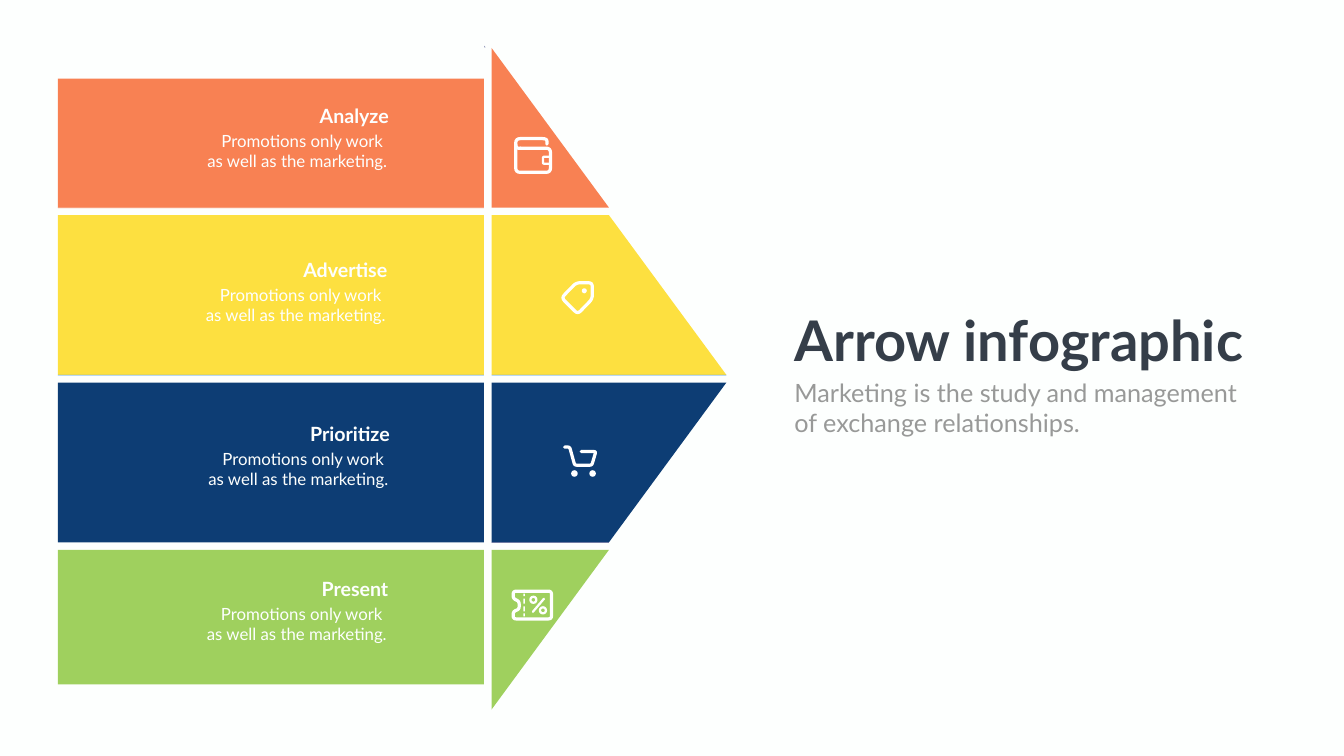
from dataclasses import dataclass

from lxml import etree
from pptx import Presentation
from pptx.dml.color import RGBColor
from pptx.enum.shapes import MSO_CONNECTOR, MSO_SHAPE
from pptx.enum.text import MSO_AUTO_SIZE, PP_ALIGN
from pptx.oxml.ns import qn
from pptx.util import Inches, Pt

RECT, OVAL = MSO_SHAPE.RECTANGLE, MSO_SHAPE.OVAL
STRAIGHT = MSO_CONNECTOR.STRAIGHT
LEFT, RIGHT = PP_ALIGN.LEFT, PP_ALIGN.RIGHT
FIT = MSO_AUTO_SIZE.SHAPE_TO_FIT_TEXT


@dataclass(frozen=True)
class Theme:
    font: str = "Lato"
    paper: str = "FDFFFE"
    icon: str = "FFFFFF"
    orange: str = "F88153"
    yellow: str = "FDE040"
    navy: str = "0D3D74"
    green: str = "9FD05E"
    blue: str = "4193E3"
    violet: str = "535B8F"
    dark: str = "353E49"
    grey: str = "989998"
    title: int = 80
    subtitle: int = 36
    label: int = 28
    body: int = 24
    stroke: float = 4.6
    thin: float = 3.2


T = Theme()
WIDTH, HEIGHT = 26.66, 15
BAR_X, BAR_W = 1.15, 8.45
HEAD_X, HEAD_W = 9.75, 4.66
ROW_Y, ROW_H, PITCH = 0.95, 3.17, 3.32
BAR_TOP, BAR_BOTTOM = 1.56, 13.58
RULE_H = 0.01
HEAD_SHARES = [0, 0.5, 1, 0.5, 0]
DETAIL = ["Promotions only work ", "as well as the marketing."]


# Drawing helpers, all in inches
def paint(sp, color):
    sp.shadow.inherit = False
    sp.fill.solid()
    sp.fill.fore_color.rgb = RGBColor.from_string(color)
    sp.line.fill.background()


def outline(sp, width):
    sp.line.color.rgb = RGBColor.from_string(T.icon)
    sp.line.width = Pt(width)
    ln = sp._element.spPr.find(qn("a:ln"))
    ln.set("cap", "rnd")
    etree.SubElement(ln, qn("a:round"))


def block(s, shape, box, color):
    sp = s.shapes.add_shape(shape, *map(Inches, box))
    paint(sp, color)
    return sp


def freeform(s, points, closed=True):
    start, *rest = [(Inches(x), Inches(y)) for x, y in points]
    builder = s.shapes.build_freeform(*start)
    builder.add_line_segments(rest, close=closed)
    sp = builder.convert_to_shape()
    sp.shadow.inherit = False
    return sp


def text(s, box, lines, size, color, align=LEFT, bold=False, wrap=True):
    tf = s.shapes.add_textbox(*map(Inches, box)).text_frame
    tf.word_wrap, tf.auto_size = wrap, FIT
    for i, line in enumerate(lines):
        p = tf.paragraphs[0] if i == 0 else tf.add_paragraph()
        p.alignment = align
        r = p.add_run()
        r.text = line
        for name, value in {"name": T.font, "size": Pt(size), "bold": bold}.items():
            setattr(r.font, name, value)
        r.font.color.rgb = RGBColor.from_string(color)


def rounded(points, radius, closed):
    """Replace each corner by a short quadratic curve."""
    result = []
    for i, (x, y) in enumerate(points):
        if not closed and i in (0, len(points) - 1):
            result.append((x, y))
            continue
        ends = []
        for nx, ny in (points[i - 1], points[(i + 1) % len(points)]):
            length = ((nx - x) ** 2 + (ny - y) ** 2) ** 0.5
            share = min(radius / length, 0.5)
            ends.append((x + (nx - x) * share, y + (ny - y) * share))
        (ax, ay), (bx, by) = ends
        for t in (0, 0.25, 0.5, 0.75, 1):
            a, c, b = (1 - t) ** 2, 2 * t * (1 - t), t * t
            result.append((a * ax + c * x + b * bx, a * ay + c * y + b * by))
    return result


# Icons: points in hundredths of an inch from the icon's corner
def stroke(s, at, points, radius, closed=False, width=T.stroke):
    placed = [(at[0] + x / 100, at[1] + y / 100) for x, y in points]
    sp = freeform(s, rounded(placed, radius / 100, closed), closed)
    sp.fill.background()
    outline(sp, width)


def icon_block(s, at, shape, x, y, w, h):
    box = (at[0] + x / 100, at[1] + y / 100, w / 100, h / 100)
    return block(s, shape, box, T.icon)


def wallet(s, at):
    stroke(s, at, [(57, 39), (72, 39), (72, 53), (57, 53)], 3, True, T.thin)
    stroke(s, at, [(3, 14), (3, 70), (72, 70), (72, 22), (12, 22)], 9)
    stroke(s, at, [(13, 22), (3, 22), (3, 3), (65, 3), (65, 14)], 9)


def tag(s, at):
    stroke(s, at, [(62, 3), (62, 35), (33, 65), (1, 33), (30, 3)], 8, True)
    icon_block(s, at, OVAL, 41, 14, 10, 10)


def cart(s, at):
    stroke(s, at, [(3, 3), (13, 3), (23, 39), (57, 39), (65, 12), (36, 12)], 4)
    for x in (16, 52):
        icon_block(s, at, OVAL, x, 49, 13, 13)


def ticket(s, at):
    # Percent sign
    ends = [(0.42, 0.44), (0.64, 0.18)]
    (x1, y1), (x2, y2) = [(Inches(at[0] + x), Inches(at[1] + y)) for x, y in ends]
    slash = s.shapes.add_connector(STRAIGHT, x1, y1, x2, y2)
    outline(slash, T.thin)
    etree.SubElement(slash._element.spPr, qn("a:effectLst"))
    for x, y in ((56, 35), (37, 14)):
        ring = icon_block(s, at, OVAL, x, y, 12, 12)
        ring.fill.background()
        outline(ring, T.thin)
    # Perforation and notched edge
    for y, h in ((8, 5), (18, 10), (33, 10), (47, 6)):
        icon_block(s, at, RECT, 23, y, 3, h)
    stroke(s, at, [(3, 3), (79, 3), (79, 58), (3, 58), (3, 43),
                   (15, 39), (15, 23), (3, 18)], 6, True)


# Label, colour, caption corner, icon and its corner
ROWS = [
    ("Analyze", T.orange, (5.15, 2.01), wallet, (10.2, 2.72)),
    ("Advertise", T.yellow, (5.12, 5.06), tag, (11.13, 5.58)),
    ("Prioritize", T.navy, (5.17, 8.33), cart, (11.17, 8.84)),
    ("Present", T.green, (5.14, 11.39), ticket, (10.15, 11.7)),
]
# Row above the rule, left edge, width, colour
RULES = [
    (0, BAR_X, BAR_W, T.orange),
    (1, BAR_X, BAR_W, T.blue),
    (1, HEAD_X, HEAD_W, T.blue),
    (2, HEAD_X, HEAD_W / 2, T.violet),
]


def arrow_row(s, i, top, height):
    label, color, (x, y), icon, icon_at = ROWS[i]
    bottom = top + height
    # Slice of the arrow head
    near, far = (HEAD_X + HEAD_W * share for share in HEAD_SHARES[i:i + 2])
    corners = [(HEAD_X, top), (near, top), (far, bottom), (HEAD_X, bottom)]
    paint(freeform(s, list(dict.fromkeys(corners))), color)
    # Bar
    bar_y = max(top, BAR_TOP)
    block(s, RECT, (BAR_X, bar_y, BAR_W, min(bottom, BAR_BOTTOM) - bar_y), color)
    icon(s, icon_at)
    # Caption
    text(s, (x, y, 2.66, 0.57), [label], T.label, T.paper, RIGHT, bold=True)
    text(s, (x - 2.1, y + 0.53, 4.73, 0.91), DETAIL, T.body, T.paper, RIGHT)


def heading(s, x, y):
    text(s, (x, y, 9.34, 1.45), ["Arrow infographic"], T.title, T.dark,
         bold=True, wrap=False)
    text(s, (x, y + 1.42, 9.74, 1.31),
         ["Marketing is the study and management", "of exchange relationships."],
         T.subtitle, T.grey)


def main():
    prs = Presentation()
    prs.slide_width, prs.slide_height = Inches(WIDTH), Inches(HEIGHT)
    s = prs.slides.add_slide(prs.slide_layouts[6])
    s.background.fill.solid()
    s.background.fill.fore_color.rgb = RGBColor.from_string(T.paper)
    # Speck above the bars
    paint(freeform(s, [(9.61, 0.91), (9.61, 0.94), (9.63, 0.94)]), T.violet)
    for i in range(len(ROWS)):
        arrow_row(s, i, ROW_Y + PITCH * i, ROW_H)
    for i, x, w, color in RULES:
        block(s, RECT, (x, ROW_Y + PITCH * i + ROW_H, w, RULE_H), color)
    heading(s, 15.66, 6.01)
    prs.save("out.pptx")


if __name__ == "__main__":
    main()
